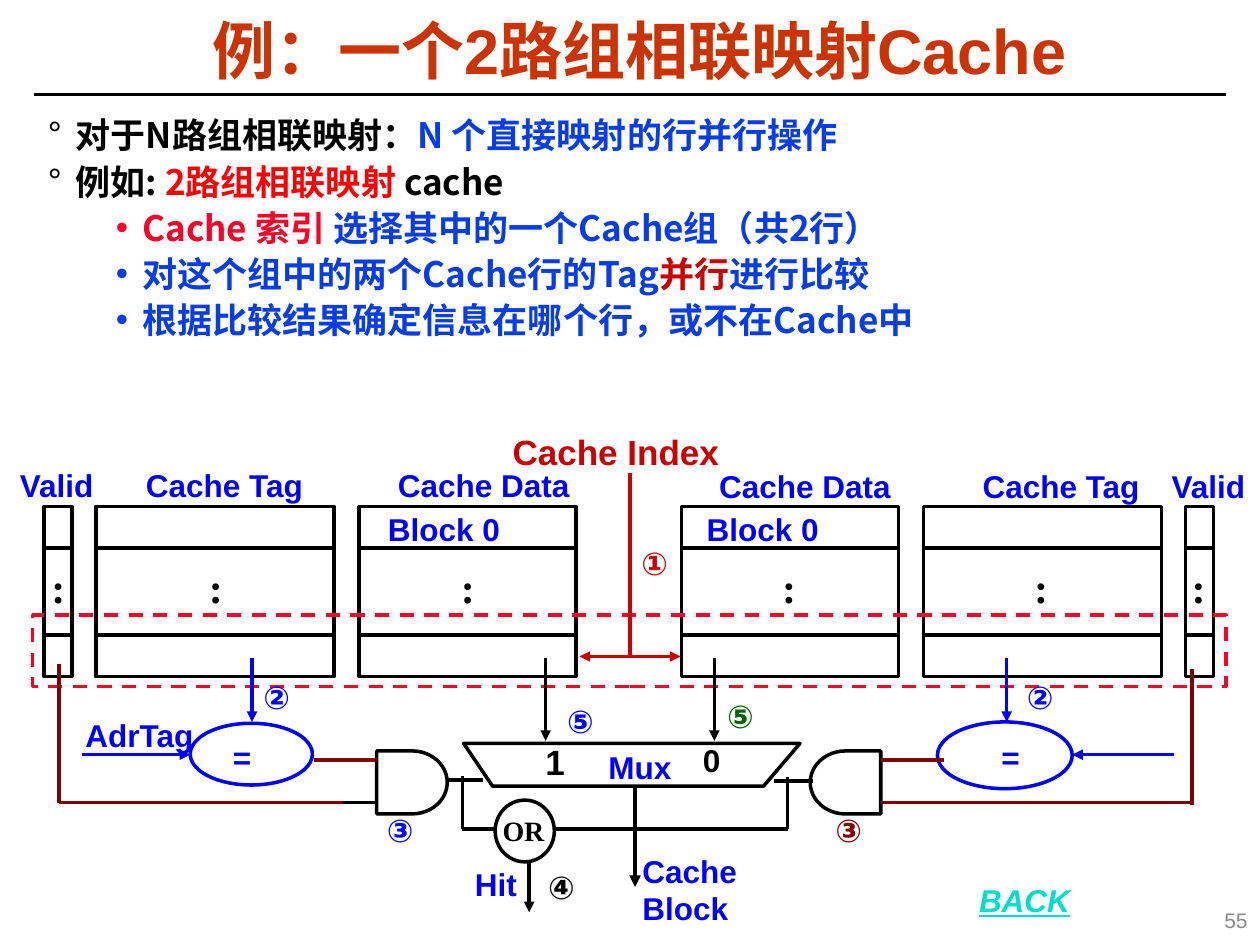
"""Build the slide on a two-way set-associative cache."""
from lxml import etree
from pptx import Presentation
from pptx import util as u
from pptx.dml.color import RGBColor
from pptx.enum import dml, shapes, text
from pptx.oxml.ns import qn

BLACK, BLUE, RED, MAROON = "000000", "0000FF", "CC0000", "800000"
ROYAL, CRIMSON = "063DE8", "FC0128"
CJK, SANS, SERIF = "Noto Sans CJK SC", "Arial", "Times New Roman"

TITLE = "例：一个2路组相联映射Cache"
BULLETS = [
    (0, [("对于N路组相联映射：", BLACK), ("N 个直接映射的行并行操作", ROYAL)]),
    (0, [("例如: ", BLACK), ("2路组相联映射", "FF0000"), (" cache", BLACK)]),
    (1, [("Cache 索引 ", CRIMSON), ("选择其中的一个Cache组（共2行）", ROYAL)]),
    (1, [("对这个组中的两个Cache行的Tag", ROYAL), ("并行", RED), ("进行比较", ROYAL)]),
    (1, [("根据比较结果确定信息在哪个行，或不在Cache中", ROYAL)]),
]
BULLET_STYLES = [("°", 0.22, -0.22), ("•", 0.75, -0.21)]

SLIDE_WIDTH, MIRROR_SUM = 10, 9.98
BANK_TOP, BANK_HEIGHT, ROW_LINES = 4.02, 1.35, (4.35, 5.04)
BANK_COLUMNS = [(0.35, 0.22, 0.31), (0.76, 1.89, 1.56), (2.85, 1.72, 3.56)]

LABELS = [
    ("Valid", 0.06, 3.65, BLUE, 18), ("Cache Tag", 1.06, 3.65, BLUE, 18),
    ("Cache Data", 3.06, 3.65, BLUE, 18), ("Block 0", 2.98, 4, BLUE, 18),
    ("Cache Data", 5.61, 3.66, BLUE, 18), ("Block 0", 5.51, 4, BLUE, 18),
    ("Cache Tag", 7.7, 3.66, BLUE, 18), ("Valid", 9.2, 3.66, BLUE, 18),
    ("Cache Index", 3.97, 3.37, RED, 20), ("AdrTag", 0.58, 5.63, BLUE, 18),
    ("=", 1.75, 5.81, BLUE, 18), ("=", 7.85, 5.81, BLUE, 18),
    ("Mux", 4.73, 5.89, BLUE, 18), ("1", 4.23, 5.83, BLACK, 20),
    ("0", 5.48, 5.83, BLACK, 18), ("Hit", 3.67, 6.82, BLUE, 18),
]
STEPS = [
    ("①", 5.09, 4.32, RED), ("②", 2.09, 5.38, BLUE), ("②", 8.15, 5.38, BLUE),
    ("③", 3.07, 6.44, BLUE), ("③", 6.63, 6.44, MAROON), ("④", 4.35, 6.89, BLACK),
    ("⑤", 4.5, 5.57, BLUE), ("⑤", 5.77, 5.53, "006600"),
]
ELLIPSES = [(1.51, 5.74, 0.97, 0.49, BLUE), (7.44, 5.73, 1.07, 0.53, BLUE),
            (3.93, 6.35, 0.47, 0.49, BLACK)]
AND_GATES = [(2.99, 0), (6.43, 180)]
MUX_CORNERS = [(3.68, 5.9), (6.35, 5.9), (6.06, 6.24), (3.91, 6.24)]
WIRES = [
    (RED, [(5, 3.75, 5, 5.2)]),
    (BLACK, [(3.55, 6.19, 3.83, 6.19), (6.45, 6.2, 6.14, 6.2), (2.72, 6.37, 2.99, 6.37),
             (3.67, 6.16, 3.67, 6.58), (3.67, 6.58, 3.93, 6.58),
             (6.25, 6.17, 6.25, 6.58), (4.4, 6.58, 6.25, 6.58)]),
    (MAROON, [(2.49, 6.03, 2.99, 6.03), (6.99, 6.03, 7.49, 6.03),
              (0.47, 5.27, 0.47, 6.37), (0.47, 6.37, 2.72, 6.37),
              (9.46, 5.31, 9.46, 6.39), (6.99, 6.37, 9.46, 6.37)]),
]
ARROWS = [
    (BLACK, [(4.33, 5.22, 4.33, 5.88), (5.67, 5.22, 5.67, 5.88), (4.2, 6.84, 4.2, 7.24)]),
    (BLUE, [(2, 5.22, 2, 5.73), (7.99, 5.22, 7.99, 5.73),
            (0.65, 5.99, 1.51, 5.99), (9.32, 5.99, 8.51, 5.99)]),
]


def colour(hex_code):
    return RGBColor.from_string(hex_code)


def inches(*lengths):
    return [u.Inches(length) for length in lengths]


def add_run(paragraph, words, hex_code, size, font=SANS, bold=True):
    run = paragraph.add_run()
    run.text = words
    run.font.name, run.font.size, run.font.bold = font, u.Pt(size), bold
    run.font.color.rgb = colour(hex_code)
    etree.SubElement(run.font._element, qn("a:ea")).set("typeface", CJK)
    return run


def add_box(slide, box, margins=(0.1, 0.05), wrap=False):
    frame = slide.shapes.add_textbox(*inches(*box)).text_frame
    frame.word_wrap = wrap
    frame.margin_left = frame.margin_right = u.Inches(margins[0])
    frame.margin_top = frame.margin_bottom = u.Inches(margins[1])
    return frame


def outline(shape, hex_code, width=2):
    shape.shadow.inherit = False
    shape.fill.background()
    shape.line.color.rgb = colour(hex_code)
    shape.line.width = u.Pt(width)
    return shape


def add_outline(slide, preset, box, hex_code):
    return outline(slide.shapes.add_shape(preset, *inches(*box)), hex_code)


def add_line(slide, ends, hex_code, width=2, arrows=()):
    line = slide.shapes.add_connector(shapes.MSO_CONNECTOR.STRAIGHT, *inches(*ends))
    line.line.color.rgb = colour(hex_code)
    line.line.width = u.Pt(width)
    stroke = line.line._get_or_add_ln()
    for end in arrows:
        etree.SubElement(stroke, qn(f"a:{end}")).set("type", "triangle")
    etree.SubElement(line._element.spPr, qn("a:effectLst"))


def add_heading(slide):
    add_line(slide, (0.27, 0.75, 9.73, 0.75), BLACK, 1.5)
    title = slide.shapes.title
    title.left, title.top, title.width, title.height = inches(0.26, 0.12, 9.63, 0.63)
    title.text_frame.vertical_anchor = text.MSO_ANCHOR.MIDDLE
    paragraph = title.text_frame.paragraphs[0]
    paragraph.alignment, paragraph.line_spacing = text.PP_ALIGN.CENTER, 0.87
    add_run(paragraph, TITLE, "CC3300", 36)


def add_bullets(slide):
    frame = add_box(slide, (0.31, 0.84, 9.19, 1.91), (0.07, 0.03), True)
    for index, (level, runs) in enumerate(BULLETS):
        paragraph = frame.add_paragraph() if index else frame.paragraphs[0]
        paragraph.level, paragraph.line_spacing = level, u.Pt(26.4)
        mark, margin, indent = BULLET_STYLES[level]
        properties = paragraph._p.get_or_add_pPr()
        properties.set("marL", str(u.Inches(margin)))
        properties.set("indent", str(u.Inches(indent)))
        etree.SubElement(properties, qn("a:buFont")).set("typeface", SANS)
        etree.SubElement(properties, qn("a:buChar")).set("char", mark)
        for words, hex_code in runs:
            add_run(paragraph, words, hex_code, 20, CJK)


def add_banks(slide):
    for left, width, dots_left in BANK_COLUMNS:
        for x, dots in ((left, dots_left),
                        (MIRROR_SUM - left - width, MIRROR_SUM - dots_left - 0.31)):
            add_outline(slide, shapes.MSO_SHAPE.RECTANGLE,
                        (x, BANK_TOP, width, BANK_HEIGHT), BLACK)
            for y in ROW_LINES:
                add_line(slide, (x, y, x + width, y), BLACK)
            frame = add_box(slide, (dots, 4.41, 0.31, 0.5))
            add_run(frame.paragraphs[0], ":", BLACK, 24, SERIF)


def add_mux(slide):
    start, *corners = [inches(*corner) for corner in MUX_CORNERS]
    builder = slide.shapes.build_freeform(*start)
    builder.add_line_segments(corners, close=True)
    outline(builder.convert_to_shape(), BLACK)


def add_circuit(slide):
    selected_set = add_outline(slide, shapes.MSO_SHAPE.RECTANGLE,
                               (0.26, 4.88, 9.47, 0.57), CRIMSON)
    selected_set.line.dash_style = dml.MSO_LINE.DASH
    for *box, hex_code in ELLIPSES:
        add_outline(slide, shapes.MSO_SHAPE.OVAL, box, hex_code)
    for left, turn in AND_GATES:
        gate = add_outline(slide, shapes.MSO_SHAPE.FLOWCHART_DELAY,
                           (left, 5.96, 0.56, 0.5), BLACK)
        gate.rotation = turn
    for groups, arrows in ((WIRES, ()), (ARROWS, ("tailEnd",))):
        for hex_code, lines in groups:
            for ends in lines:
                add_line(slide, ends, hex_code, arrows=arrows)
    add_line(slide, (4.6, 5.21, 5.4, 5.21), RED, arrows=("headEnd", "tailEnd"))
    add_line(slide, (5.04, 6.25, 5.04, 7.04), BLACK, 2.25, ("tailEnd",))


def add_labels(slide):
    for words, left, top, hex_code, size in LABELS:
        frame = add_box(slide, (left, top, 0.16 * len(words) + 0.3, 0.4))
        add_run(frame.paragraphs[0], words, hex_code, size)
    for digit, left, top, hex_code in STEPS:
        frame = add_box(slide, (left, top, 0.25, 0.3), (0, 0))
        add_run(frame.paragraphs[0], digit, hex_code, 18)
    gate_name = add_box(slide, (3.89, 6.41, 0.53, 0.36))
    add_run(gate_name.paragraphs[0], "OR", BLACK, 16, SERIF)
    output = add_box(slide, (5, 6.71, 1.2, 0.7), wrap=True)
    add_run(output.paragraphs[0], "Cache Block", BLUE, 18)
    back = add_box(slide, (7.77, 6.99, 1.22, 0.3), (0, 0), True)
    back_run = add_run(back.paragraphs[0], "BACK", "00DFCA", 18)
    back_run.font.italic = back_run.font.underline = True
    number = add_box(slide, (7.75, 7.1, 2.25, 0.4), wrap=True)
    number.vertical_anchor = text.MSO_ANCHOR.MIDDLE
    number.paragraphs[0].alignment = text.PP_ALIGN.RIGHT
    add_run(number.paragraphs[0], "55", "898989", 12, bold=False)


def main():
    deck = Presentation()
    deck.slide_width, deck.slide_height = inches(SLIDE_WIDTH, 7.5)
    slide = deck.slides.add_slide(deck.slide_layouts[5])
    for add_part in (add_heading, add_bullets, add_banks, add_circuit, add_mux, add_labels):
        add_part(slide)
    deck.save("out.pptx")


if __name__ == "__main__":
    main()
